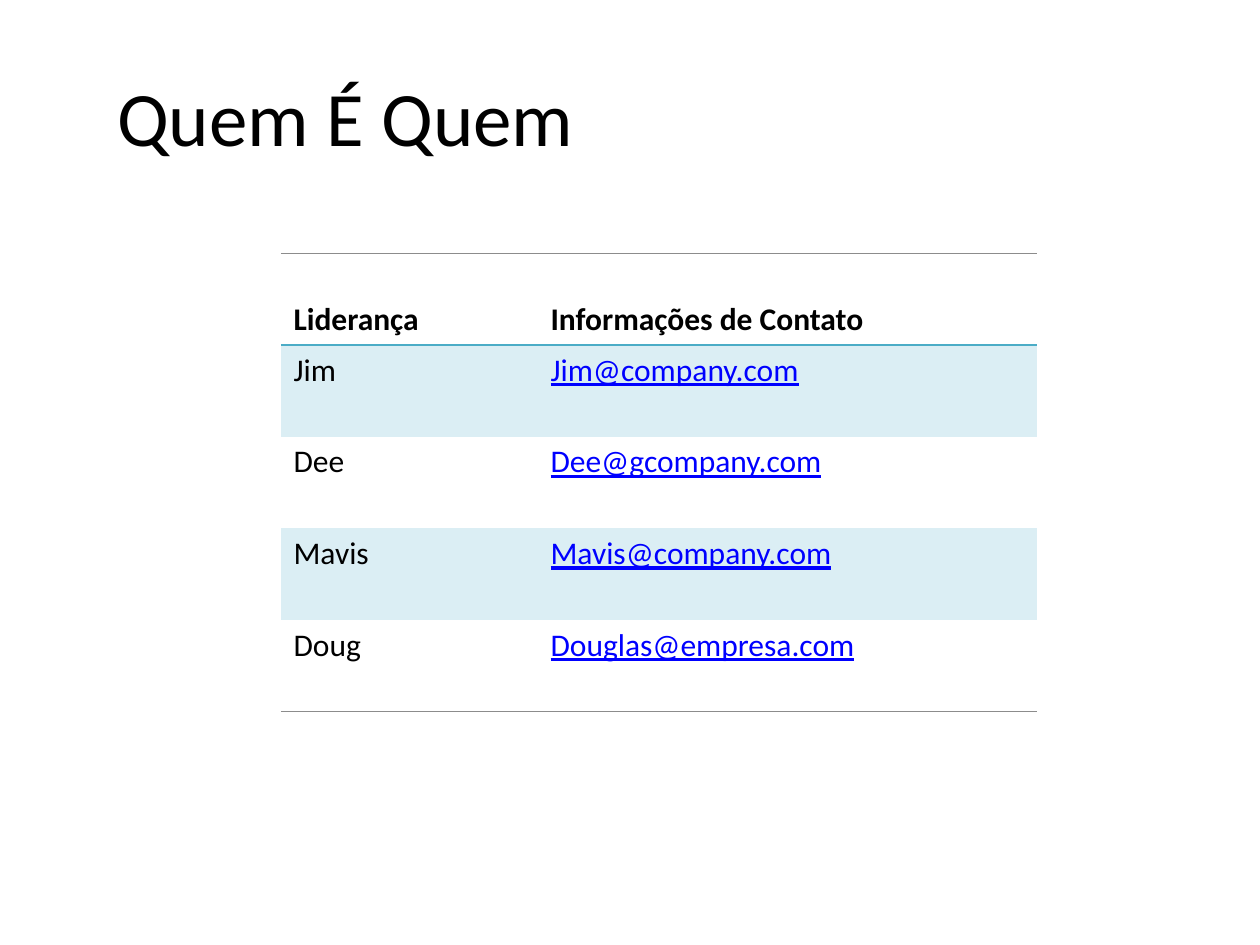
from lxml import etree
from pptx import Presentation
from pptx.dml.color import RGBColor
from pptx.enum.text import MSO_ANCHOR, PP_ALIGN
from pptx.oxml.ns import qn
from pptx.util import Inches, Pt

TOP, MIDDLE, BOTTOM = MSO_ANCHOR.TOP, MSO_ANCHOR.MIDDLE, MSO_ANCHOR.BOTTOM
LEFT = PP_ALIGN.LEFT
FONT = "Calibri"
BLACK, LINK, BAND = "000000", "0000FF", "DBEEF4"
TEAL, GRAY = "4BACC6", "8C8C8C"
PLAIN_TABLE_STYLE = "{2D5ABB26-0587-4C30-8999-92F81FD0307C}"
TITLE_ONLY = 5

CONTACTS = [
    ("Liderança", "Informações de Contato"),
    ("Jim", "Jim@company.com"),
    ("Dee", "Dee@gcompany.com"),
    ("Mavis", "Mavis@company.com"),
    ("Doug", "Douglas@empresa.com"),
]


def color(value):
    """Turn a hex string into a colour."""
    return RGBColor.from_string(value)


def format_text(frame, size, text_color=BLACK, bold=False, underline=False):
    """Format every run of a text frame."""
    for paragraph in frame.paragraphs:
        paragraph.alignment = LEFT
        for run in paragraph.runs:
            font = run.font
            font.name, font.size = FONT, Pt(size)
            font.bold, font.underline = bold, underline
            font.color.rgb = color(text_color)


def add_border(cell, side, line_color, width):
    """Draw one border of a table cell; side is lnT or lnB."""
    line = etree.SubElement(cell._tc.get_or_add_tcPr(), qn(f"a:{side}"), w=str(Pt(width)))
    fill = etree.SubElement(line, qn("a:solidFill"))
    etree.SubElement(fill, qn("a:srgbClr"), val=line_color)


def place_title(slide, left, top, width, height):
    """Place the slide title in its box."""
    title = slide.shapes.title
    title.left, title.top, title.width, title.height = left, top, width, height
    title.text_frame.text = "Quem É Quem"
    title.text_frame.vertical_anchor = MIDDLE
    format_text(title.text_frame, 44)


def style_cell(cell, row, column):
    """Apply the header, band, link and rule styles by grid position."""
    header = row == 0
    link = column == 1 and not header
    cell.vertical_anchor = BOTTOM if header else TOP
    format_text(cell.text_frame, 18, LINK if link else BLACK, header, link)
    if header:
        add_border(cell, "lnT", GRAY, 0.5)
        add_border(cell, "lnB", TEAL, 1)
    elif row == len(CONTACTS) - 1:
        add_border(cell, "lnB", GRAY, 0.5)
    if row % 2:
        cell.fill.solid()
        cell.fill.fore_color.rgb = color(BAND)
    else:
        cell.fill.background()


def place_contacts(slide, left, top, width, height):
    """Place the contact table in its box."""
    frame = slide.shapes.add_table(len(CONTACTS), 2, left, top, width, height)
    table = frame.table
    table._tbl.tblPr.find(qn("a:tableStyleId")).text = PLAIN_TABLE_STYLE
    table.columns[0].width = Inches(2.04)
    table.columns[1].width = width - Inches(2.04)
    for row, contact in enumerate(CONTACTS):
        for column, text in enumerate(contact):
            cell = table.cell(row, column)
            cell.text_frame.text = text
            style_cell(cell, row, column)


def main():
    """Build and save the slide."""
    presentation = Presentation()
    presentation.slide_width, presentation.slide_height = Inches(10), Inches(7.5)
    slide = presentation.slides.add_slide(presentation.slide_layouts[TITLE_ONLY])
    place_title(slide, Inches(0.83), Inches(0.29), Inches(8.83), Inches(1.25))
    place_contacts(slide, Inches(2.23), Inches(2.01), Inches(6), Inches(3.64))
    presentation.save("out.pptx")


if __name__ == "__main__":
    main()
